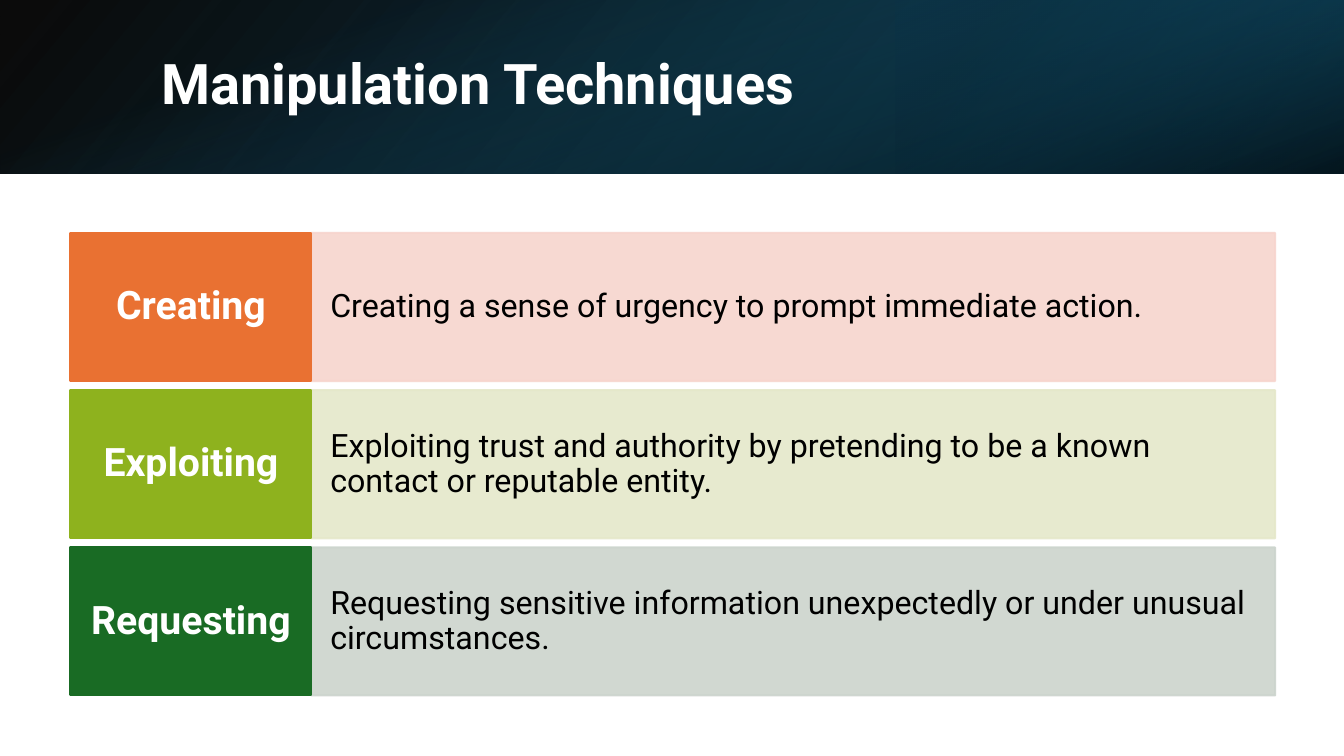
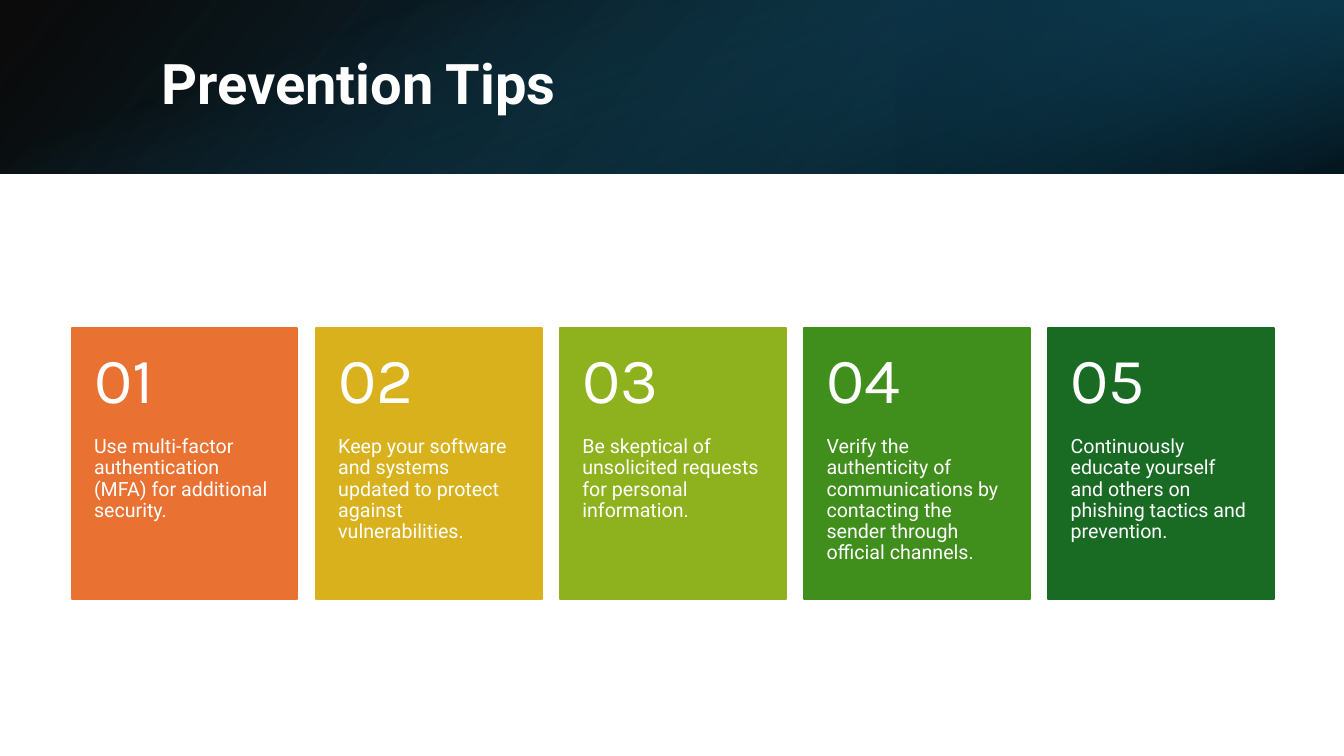
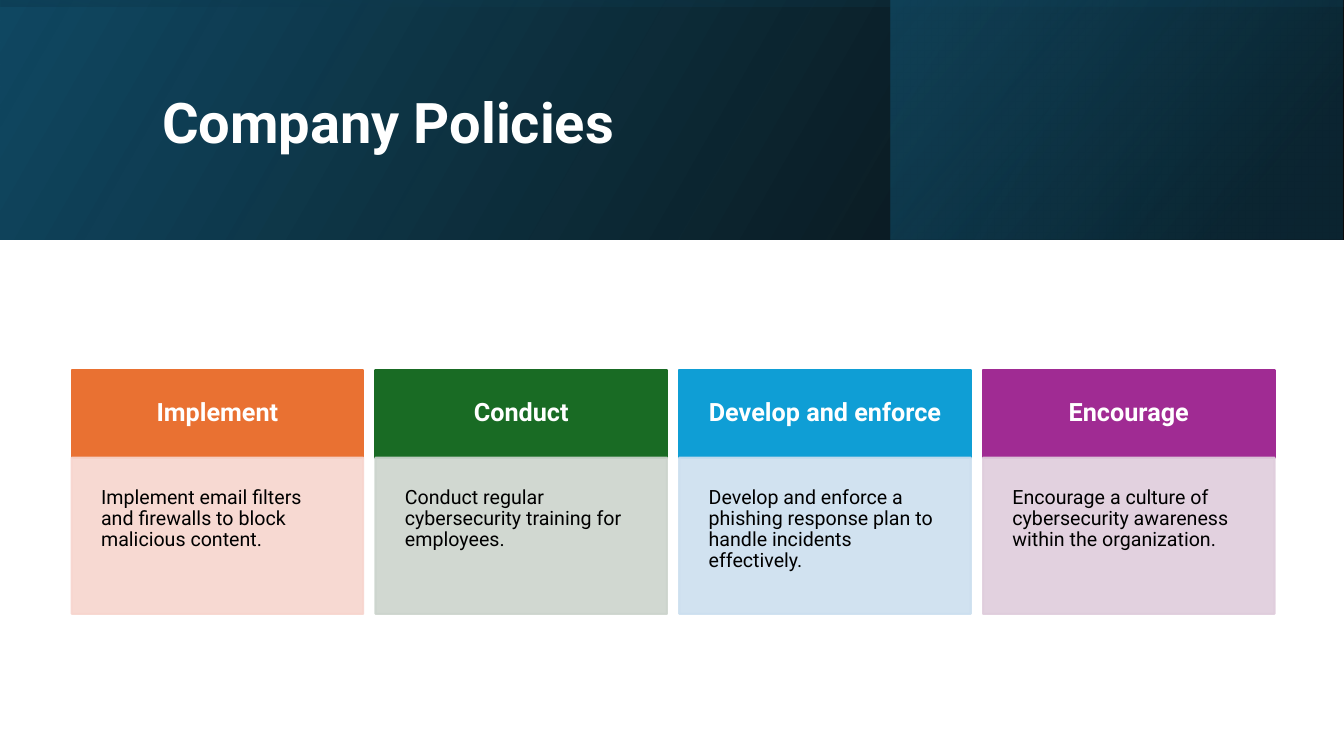
import pptx
import pptx.dml.color
import pptx.enum.shapes
import pptx.enum.text
import pptx.oxml
import pptx.oxml.ns
import pptx.util
from lxml import etree

Pt = pptx.util.Pt
RGBColor = pptx.dml.color.RGBColor
ALIGN = pptx.enum.text.PP_ALIGN
ANCHOR = pptx.enum.text.MSO_ANCHOR
qn = pptx.oxml.ns.qn

BLACK = RGBColor(0x00, 0x00, 0x00)
WHITE = RGBColor(0xFF, 0xFF, 0xFF)
NAVY = RGBColor(0x0B, 0x30, 0x41)
DEEP_BLUE = RGBColor(0x10, 0x48, 0x62)
TEAL = RGBColor(0x15, 0x60, 0x82)
ORANGE = RGBColor(0xE9, 0x71, 0x32)
GOLD = RGBColor(0xD8, 0xB1, 0x1D)
LIME = RGBColor(0x8E, 0xB2, 0x1E)
GREEN = RGBColor(0x40, 0x8E, 0x1C)
DARK_GREEN = RGBColor(0x19, 0x6B, 0x24)
BLUE = RGBColor(0x0F, 0x9E, 0xD5)
PURPLE = RGBColor(0xA0, 0x2B, 0x93)
PALE_ORANGE = RGBColor(0xF7, 0xD5, 0xCE)
PALE_LIME = RGBColor(0xE5, 0xE8, 0xCA)
PALE_GREEN = RGBColor(0xCC, 0xD4, 0xCD)
PALE_BLUE = RGBColor(0xCC, 0xDF, 0xEF)
PALE_PURPLE = RGBColor(0xDF, 0xCD, 0xDC)

SLIDE_WIDTH, SLIDE_HEIGHT = 960, 540
TITLE_FONT = BODY_FONT = "Roboto"
NUMBER_FONT = "Karla"

TECHNIQUES = [
    ("Creating", "Creating a sense of urgency to prompt immediate action.",
     ORANGE, PALE_ORANGE),
    ("Exploiting", "Exploiting trust and authority by pretending to be a known "
     "contact or reputable entity.", LIME, PALE_LIME),
    ("Requesting", "Requesting sensitive information unexpectedly or under "
     "unusual circumstances.", DARK_GREEN, PALE_GREEN),
]
TIPS = [
    ("Use multi-factor authentication (MFA) for additional security.", ORANGE),
    ("Keep your software and systems updated to protect against "
     "vulnerabilities.", GOLD),
    ("Be skeptical of unsolicited requests for personal information.", LIME),
    ("Verify the authenticity of communications by contacting the sender "
     "through official channels.", GREEN),
    ("Continuously educate yourself and others on phishing tactics and "
     "prevention.", DARK_GREEN),
]
POLICIES = [
    ("Implement", "Implement email filters and firewalls to block malicious "
     "content.", ORANGE, PALE_ORANGE),
    ("Conduct", "Conduct regular cybersecurity training for employees.",
     DARK_GREEN, PALE_GREEN),
    ("Develop and enforce", "Develop and enforce a phishing response plan to "
     "handle incidents effectively.", BLUE, PALE_BLUE),
    ("Encourage", "Encourage a culture of cybersecurity awareness within the "
     "organization.", PURPLE, PALE_PURPLE),
]


def set_opacity(shape, percentages):
    colors = shape._element.spPr.iter(qn("a:srgbClr"))
    for color, percentage in zip(list(colors), percentages):
        alpha = etree.SubElement(color, qn("a:alpha"))
        alpha.set("val", str(percentage * 1000))


def add_rectangle(slide, box):
    shape = slide.shapes.add_shape(
        pptx.enum.shapes.MSO_SHAPE.RECTANGLE, *(Pt(value) for value in box))
    shape.shadow.inherit = False
    return shape


def write(shape, text, size, color, insets, font=BODY_FONT, bold=False,
          align=ALIGN.LEFT, anchor=ANCHOR.MIDDLE):
    frame = shape.text_frame
    frame.word_wrap = True
    frame.auto_size = pptx.enum.text.MSO_AUTO_SIZE.NONE
    frame.vertical_anchor = anchor
    (frame.margin_left, frame.margin_top,
     frame.margin_right, frame.margin_bottom) = (Pt(inset) for inset in insets)
    frame.text = text
    paragraph = frame.paragraphs[0]
    paragraph.alignment = align
    paragraph.line_spacing = 0.9
    paragraph.font.name = font
    paragraph.font.size = Pt(size)
    paragraph.font.bold = bold
    paragraph.font.color.rgb = color


def add_panel(slide, box, color, opacity=100):
    panel = add_rectangle(slide, box)
    panel.fill.solid()
    panel.fill.fore_color.rgb = color
    panel.line.color.rgb = color
    panel.line.width = Pt(1.5)
    if opacity < 100:
        set_opacity(panel, (opacity, opacity))
    return panel


def add_gradient(slide, box, stops, angle, rotation=0, flipped=False):
    band = add_rectangle(slide, box)
    band.line.fill.background()
    band.fill.gradient()
    band.fill.gradient_angle = 360 - angle
    for stop, (position, color, _) in zip(band.fill.gradient_stops, stops):
        stop.position = position / 100
        stop.color.rgb = color
    set_opacity(band, [opacity for _, _, opacity in stops])
    band.rotation = rotation
    if flipped:
        band._element.spPr.find(qn("a:xfrm")).set("flipH", "1")


def upright_box(height):
    offset = (SLIDE_WIDTH - height) / 2
    return offset, -offset, height, SLIDE_WIDTH


def add_header(slide, height):
    add_gradient(slide, (0, 0, SLIDE_WIDTH, height),
                 [(0, BLACK, 96), (100, DEEP_BLUE, 100)], 140, flipped=True)
    add_gradient(slide, (640, 0, 320, height),
                 [(19, NAVY, 68), (100, TEAL, 79)], 320, 180, True)
    add_gradient(slide, upright_box(height),
                 [(23, TEAL, 0), (99, BLACK, 74)], 340, 90)


def add_tall_header(slide, height):
    add_gradient(slide, (0, 0, SLIDE_WIDTH, height),
                 [(0, BLACK, 96), (100, DEEP_BLUE, 100)], 330, flipped=True)
    add_gradient(slide, (636.5, 0, 322.6, height),
                 [(19, NAVY, 68), (100, TEAL, 48)], 320, flipped=True)
    add_gradient(slide, upright_box(height),
                 [(23, DEEP_BLUE, 16), (99, BLACK, 45)], 350, 270, True)


def add_titled_slide(presentation, text, title_box, header, header_height):
    slide = presentation.slides.add_slide(presentation.slide_layouts[5])
    header(slide, header_height)
    title = slide.shapes.title
    slide.shapes._spTree.append(title._element)
    title.left, title.top, title.width, title.height = (
        Pt(value) for value in title_box)
    write(title, text, 40, WHITE, (7.2, 3.6, 7.2, 3.6), TITLE_FONT, True)
    return slide


def add_technique_rows(slide):
    left, top, label_width, text_width = 50.4, 166.4, 172, 688.4
    height, pitch = 105.8, 112.3
    for index, (label, text, color, pale) in enumerate(TECHNIQUES):
        row_top = top + index * pitch
        panel = add_panel(
            slide, (left + label_width, row_top, text_width, height), pale, 90)
        write(panel, text, 23, BLACK, (13.5, 26.5, 13.5, 26.5))
        panel = add_panel(slide, (left, row_top, label_width, height), color)
        write(panel, label, 28, WHITE, (9, 11, 9, 11), bold=True,
              align=ALIGN.CENTER)


def add_tip_cards(slide):
    left, top, width, height, pitch = 51.2, 234.6, 161.3, 193.6, 174.4
    number_height = 77.4
    for index, (text, color) in enumerate(TIPS):
        card_left = left + index * pitch
        card = add_panel(slide, (card_left, top, width, height), color)
        write(card, text, 14, WHITE, (16, number_height, 16, 26),
              anchor=ANCHOR.TOP)
        number = slide.shapes.add_textbox(
            Pt(card_left), Pt(top), Pt(width), Pt(number_height))
        write(number, f"{index + 1:02}", 46, WHITE, (16, 13, 16, 13),
              NUMBER_FONT)


def add_policy_columns(slide):
    left, top, width, pitch = 51.2, 264.2, 208.2, 217
    heading_height, text_height = 62.7, 111.6
    for index, (heading, text, color, pale) in enumerate(POLICIES):
        column_left = left + index * pitch
        panel = add_panel(
            slide, (column_left, top, width, heading_height), color)
        write(panel, heading, 18, WHITE, (16.5,) * 4, bold=True,
              align=ALIGN.CENTER)
        panel = add_panel(
            slide, (column_left, top + heading_height, width, text_height),
            pale, 90)
        write(panel, text, 14, BLACK, (21,) * 4, anchor=ANCHOR.TOP)


def main():
    presentation = pptx.Presentation()
    presentation.slide_width = Pt(SLIDE_WIDTH)
    presentation.slide_height = Pt(SLIDE_HEIGHT)
    title_box = (108, 27.4, 790.6, 69)
    tall_title_box = (108.7, 27.4, 765.4, 124)
    add_technique_rows(add_titled_slide(
        presentation, "Manipulation Techniques", title_box, add_header, 124))
    add_tip_cards(add_titled_slide(
        presentation, "Prevention Tips", title_box, add_header, 124))
    add_policy_columns(add_titled_slide(
        presentation, "Company Policies", tall_title_box, add_tall_header, 171))
    presentation.save("out.pptx")


if __name__ == "__main__":
    main()
